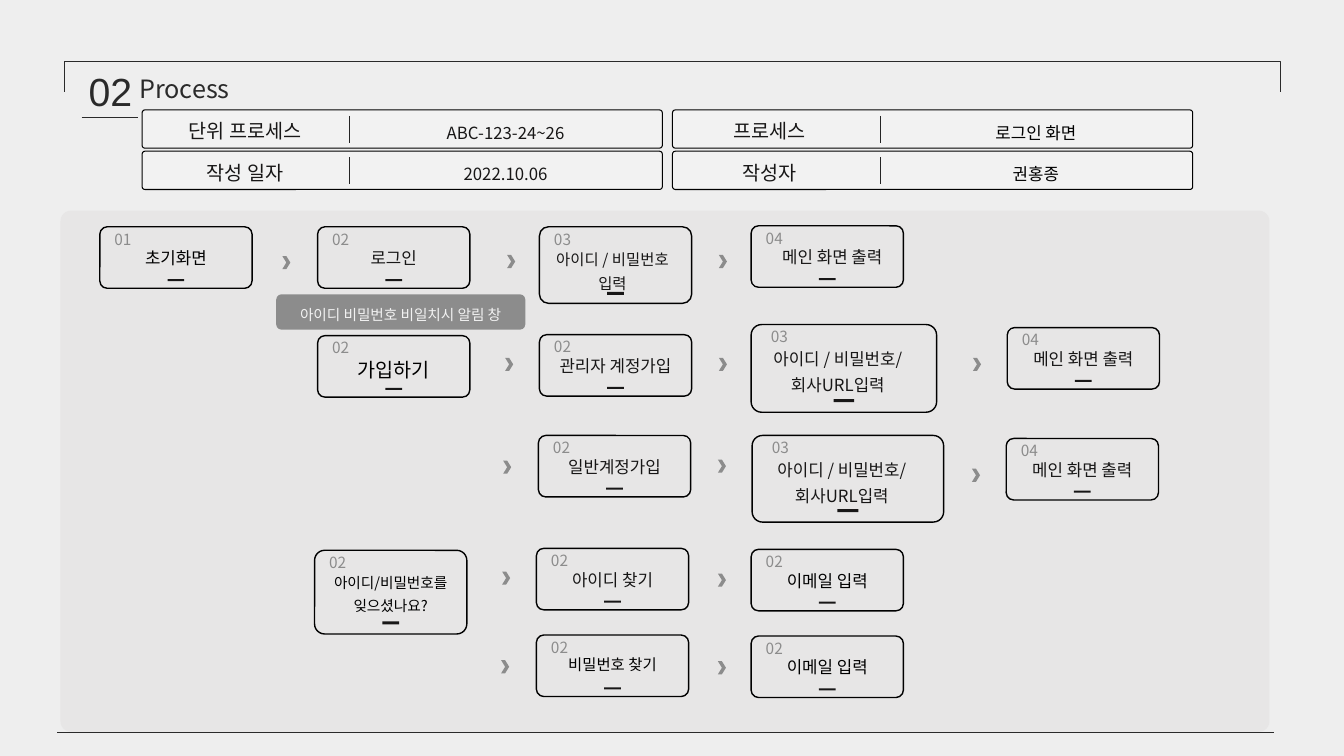
from lxml.etree import SubElement
from pptx import Presentation
from pptx.dml.color import RGBColor
from pptx.enum.shapes import MSO_CONNECTOR, MSO_SHAPE
from pptx.enum.text import MSO_ANCHOR, MSO_AUTO_SIZE, PP_ALIGN
from pptx.oxml.ns import qn
from pptx.util import Inches, Pt

COLORS = {
    "background": "EEEEEE", "panel": "E7E6E6", "field": "F2F2F2",
    "frame": "2A2A2A", "divider": "242424", "dark": "181717",
    "ink": "171616", "black": "000000", "gray": "8C8C8C",
}
KOREAN = "Noto Sans CJK KR"


class ProcessSlide:
    """Holds the style and the current slide."""

    def __init__(self, prs):
        self.slide = prs.slides.add_slide(prs.slide_layouts[5])
        self.shapes = self.slide.shapes
        fill = self.slide.background.fill
        fill.solid()
        fill.fore_color.rgb = self.color("background")

    @staticmethod
    def color(name):
        return RGBColor.from_string(COLORS[name])

    def shape(self, kind, x, y, w, h, fill=None, line=None, weight=0.75, corner=None):
        shape = self.shapes.add_shape(kind, Inches(x), Inches(y), Inches(w), Inches(h))
        shape.shadow.inherit = False
        if fill:
            shape.fill.solid()
            shape.fill.fore_color.rgb = self.color(fill)
        else:
            shape.fill.background()
        if line:
            shape.line.color.rgb = self.color(line)
            shape.line.width = Pt(weight)
        else:
            shape.line.fill.background()
        if corner is not None:
            shape.adjustments[0] = corner
        return shape

    def rule(self, x1, y1, x2, y2, color="frame"):
        rule = self.shapes.add_connector(
            MSO_CONNECTOR.STRAIGHT, Inches(x1), Inches(y1), Inches(x2), Inches(y2))
        rule.line.color.rgb = self.color(color)
        rule.line.width = Pt(0.75)
        SubElement(rule._element.spPr, qn("a:effectLst"))

    def set_text(self, frame, text, size, color, font=KOREAN, align=PP_ALIGN.CENTER,
                 spacing=1.0, insets=(0.1, 0.05, 0.1, 0.05)):
        frame.word_wrap = True
        frame.auto_size = MSO_AUTO_SIZE.NONE
        frame.vertical_anchor = MSO_ANCHOR.TOP
        (frame.margin_left, frame.margin_top,
         frame.margin_right, frame.margin_bottom) = map(Inches, insets)
        paragraph = frame.paragraphs[0]
        paragraph.text = text
        paragraph.alignment = align
        paragraph.line_spacing = spacing
        paragraph.font.size = Pt(size)
        paragraph.font.color.rgb = self.color(color)
        paragraph.font.name = font
        defaults = paragraph._p.pPr.find(qn("a:defRPr"))
        SubElement(defaults, qn("a:ea")).set("typeface", font)

    def text(self, x, y, w, h, text, size, color, **style):
        box = self.shapes.add_textbox(Inches(x), Inches(y), Inches(w), Inches(h))
        self.set_text(box.text_frame, text, size, color, **style)

    def title(self, x, y, w, h, text):
        title = self.shapes.title
        title.left, title.top, title.width, title.height = map(Inches, (x, y, w, h))
        self.set_text(title.text_frame, text, 18, "frame", align=PP_ALIGN.LEFT,
                      insets=(0.04, 0.02, 0.12, 0.02))

    def field(self, x, y, label_center, label, value, value_color):
        """A header box with a label, a divider and a value."""
        self.shape(MSO_SHAPE.ROUNDED_RECTANGLE, x, y, 5.16, 0.38,
                   "field", "black", corner=0.075)
        self.text(x + label_center - 0.83, y + 0.01, 1.66, 0.37, label, 14, "dark",
                  spacing=1.14)
        self.rule(x + 2.06, y + 0.06, x + 2.06, y + 0.33, "divider")
        self.text(x + 2.19, y + 0.02, 2.83, 0.36, value, 12, value_color, spacing=1.3)

    def step(self, x, y, number, label, size=12, color="ink", w=1.51, h=0.61, shift=0):
        """A process card: step number, label and a short dash."""
        tall = h > 0.61
        number_center = x + (0.28 if w > 1.51 else 0.23)
        self.text(number_center - 0.62, y - 0.02, 1.24, 0.29, number, 11, "gray")
        self.shape(MSO_SHAPE.ROUNDED_RECTANGLE, x, y, w, h,
                   line="black", weight=1, corner=0.12)
        self.text(x + shift, y + (0.13 if tall else 0.1), w, h - 0.2, label, size, color,
                  spacing=1.3)
        dash = 0.11 * w
        self.shape(MSO_SHAPE.RECTANGLE, x + (w - dash) / 2, y + 0.85 * h,
                   dash, 0.03 if tall else 0.02, "dark")

    def chevron(self, x, y):
        self.shape(MSO_SHAPE.CHEVRON, x, y, 0.08, 0.13, "gray", corner=0.5)


def main():
    prs = Presentation()
    prs.slide_width, prs.slide_height = Inches(13.33), Inches(7.5)
    page = ProcessSlide(prs)

    # Panel, frame and heading
    page.shape(MSO_SHAPE.ROUNDED_RECTANGLE, 0.6, 2.09, 11.99, 5.17, "panel", corner=0.02)
    bracket = page.shape(MSO_SHAPE.RIGHT_BRACKET, 6.52, -5.27, 0.3, 12.06,
                         line="frame", corner=0)
    bracket.rotation = 270
    page.rule(0.57, 7.27, 12.64, 7.27)
    page.title(1.34, 0.71, 1.26, 0.34, "Process")
    page.text(0.88, 0.67, 0.49, 0.45, "02", 28, "frame", font="Arial",
              align=PP_ALIGN.LEFT, insets=(0, 0, 0, 0))
    page.rule(0.81, 1.17, 1.37, 1.17)

    # Document details
    details = [
        (1.41, 1.02, "dark", [("단위 프로세스", "ABC-123-24~26"), ("작성 일자", "2022.10.06")]),
        (6.67, 0.96, "black", [("프로세스", "로그인 화면"), ("작성자", "권홍종")]),
    ]
    for x, label_center, value_color, fields in details:
        for row, (label, value) in enumerate(fields):
            page.field(x, 1.09 + 0.41 * row, label_center, label, value, value_color)

    # Login
    main_screen = "메인 화면 출력"
    page.step(0.99, 2.25, "01", "초기화면", color="black")
    page.step(3.15, 2.25, "02", "로그인")
    page.step(5.35, 2.25, "03", "아이디 / 비밀번호\v입력", 11, h=0.76, shift=-0.03)
    page.step(7.45, 2.24, "04", main_screen, shift=0.05)
    page.shape(MSO_SHAPE.ROUNDED_RECTANGLE, 2.74, 2.92, 2.47, 0.35, "gray", corner=0.147)
    page.text(2.74, 2.93, 2.47, 0.33, "아이디 비밀번호 비일치시 알림 창", 10.5, "field",
              spacing=1.3)

    # Sign-up, for administrators and for ordinary accounts
    account_entry = "아이디 / 비밀번호/\v회사URL입력"
    page.step(3.15, 3.33, "02", "가입하기", 14, "black")
    page.step(5.35, 3.32, "02", "관리자 계정가입")
    page.step(7.45, 3.22, "03", account_entry, w=1.84, h=0.87, shift=-0.06)
    page.step(9.99, 3.25, "04", main_screen)
    page.step(5.34, 4.32, "02", "일반계정가입")
    page.step(7.46, 4.32, "03", account_entry, w=1.9, h=0.86, shift=-0.06)
    page.step(9.98, 4.35, "04", main_screen)

    # Forgotten ID or password
    page.step(3.12, 5.46, "02", "아이디/비밀번호를\v잊으셨나요?", 10.5, "black", h=0.83)
    page.step(5.32, 5.44, "02", "아이디 찾기")
    page.step(5.32, 6.3, "02", "비밀번호 찾기", 11, "black")
    for y in (5.45, 6.31):
        page.step(7.45, y, "02", "이메일 입력", color="black")

    # Chevrons between steps, row by row
    chevron_rows = [
        [(2.8, 2.54), (5.03, 2.53), (7.13, 2.53)],
        [(5.01, 3.55), (7.13, 3.55), (9.65, 3.55)],
        [(4.99, 4.57), (7.12, 4.56), (9.64, 4.65)],
        [(4.98, 5.67), (7.12, 5.69)],
        [(4.97, 6.55), (7.12, 6.56)],
    ]
    for row in chevron_rows:
        for x, y in row:
            page.chevron(x, y)

    prs.save("out.pptx")


if __name__ == "__main__":
    main()
